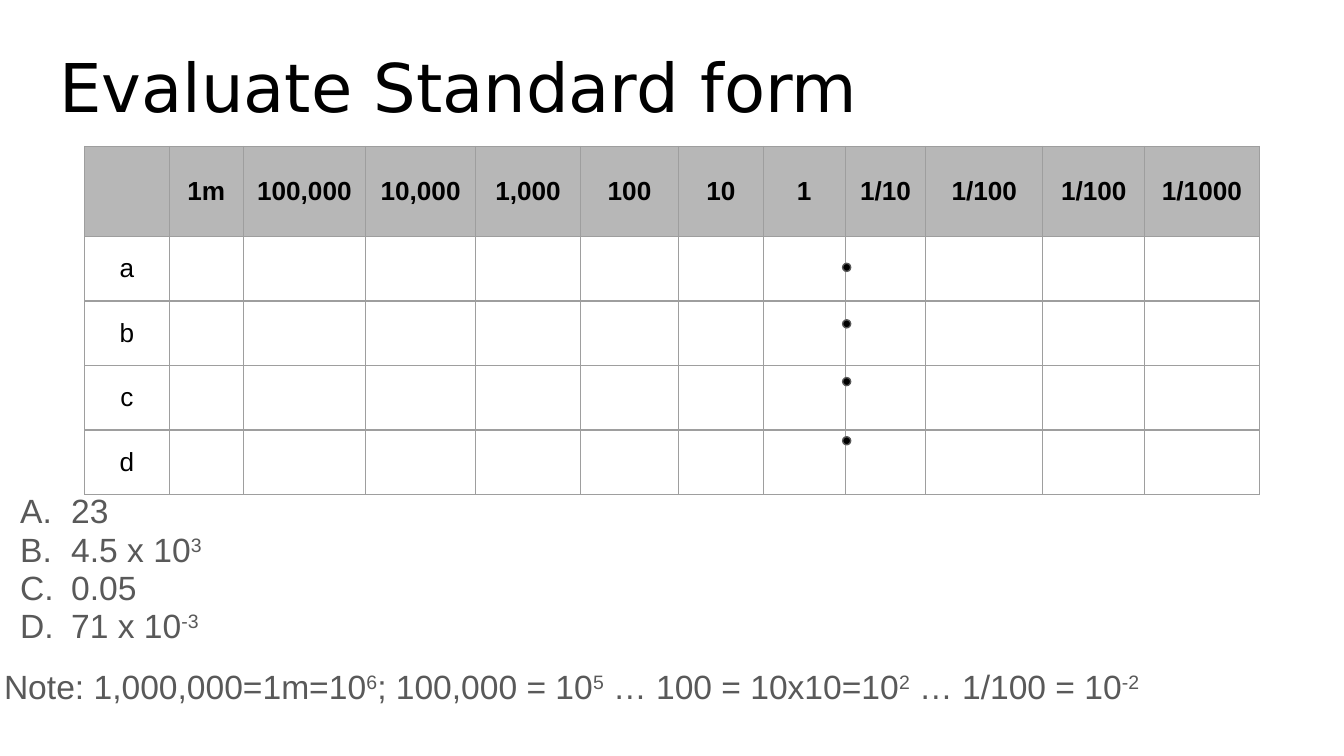
from lxml import etree
from pptx import Presentation
from pptx import util as u
from pptx.dml.color import RGBColor
from pptx.enum import shapes, text
from pptx.oxml.ns import qn


def color(value):
    return RGBColor.from_string(value)


def add_element(parent, tag, **attributes):
    return etree.SubElement(parent, qn(tag), attributes)


class SlideBuilder:
    unit = 0.1
    font = "Arial"
    title_font = "DejaVu Sans"
    black = "000000"
    gray = "595959"
    header_fill = "B7B7B7"
    border = "9E9E9E"

    def __init__(self, presentation):
        self.slide = presentation.slides.add_slide(presentation.slide_layouts[1])

    def grid(self, *cells):
        return [u.Inches(round(cell * self.unit, 2)) for cell in cells]

    def add_run(self, paragraph, content, size, fill, font=None, bold=False, raised=False):
        run = paragraph.add_run()
        run.text = content
        run.font.size = u.Pt(size)
        run.font.name = font or self.font
        run.font.bold = bold
        run.font.color.rgb = color(fill)
        if raised:
            run.font._element.set("baseline", "30000")

    def place(self, shape, box):
        shape.left, shape.top, shape.width, shape.height = self.grid(*box)
        frame = shape.text_frame
        frame.word_wrap = True
        frame.auto_size = text.MSO_AUTO_SIZE.NONE
        frame.vertical_anchor = text.MSO_ANCHOR.TOP
        frame.margin_left = frame.margin_right = u.Inches(0.1)
        frame.margin_top = frame.margin_bottom = u.Inches(0.1)
        return frame

    def title(self, content, box):
        paragraph = self.place(self.slide.shapes.title, box).paragraphs[0]
        paragraph.alignment = text.PP_ALIGN.LEFT
        self.add_run(paragraph, content, 36, self.black, self.title_font)

    def body(self, answers, note, box):
        frame = self.place(self.slide.placeholders[1], box)
        for index, pieces in enumerate([*answers, note]):
            paragraph = frame.paragraphs[0] if index == 0 else frame.add_paragraph()
            is_note = pieces is note
            paragraph.alignment = text.PP_ALIGN.LEFT
            paragraph.line_spacing = 0.95
            paragraph.space_before = paragraph.space_after = u.Pt(12 if is_note else 0)
            properties = paragraph._p.get_or_add_pPr()
            properties.set("marL", str(u.Inches(0 if is_note else 0.5)))
            properties.set("indent", str(u.Inches(0 if is_note else -0.38)))
            if is_note:
                add_element(properties, "a:buNone")
            else:
                bullet_color = add_element(properties, "a:buClr")
                add_element(bullet_color, "a:srgbClr", val=self.gray)
                add_element(properties, "a:buFont", typeface=self.font)
                add_element(properties, "a:buAutoNum", type="alphaUcPeriod")
            for position, piece in enumerate(pieces):
                self.add_run(paragraph, piece, 18, self.gray, raised=position % 2 == 1)

    def cell(self, cell, content, header):
        cell.margin_left = cell.margin_right = u.Inches(0.1)
        cell.margin_top = cell.margin_bottom = u.Inches(0.1)
        cell.vertical_anchor = text.MSO_ANCHOR.MIDDLE
        paragraph = cell.text_frame.paragraphs[0]
        paragraph.alignment = text.PP_ALIGN.CENTER
        if content:
            self.add_run(paragraph, content, 14, self.black, bold=header)
        else:
            add_element(paragraph._p, "a:endParaRPr", sz="1400")
        properties = cell._tc.get_or_add_tcPr()
        for side in ("L", "R", "T", "B"):
            line = add_element(properties, f"a:ln{side}", w=str(u.Pt(0.75)))
            add_element(add_element(line, "a:solidFill"), "a:srgbClr", val=self.border)
        if header:
            cell.fill.solid()
            cell.fill.fore_color.rgb = color(self.header_fill)
        else:
            cell.fill.background()

    def table(self, rows, left, top, widths, heights):
        box = self.grid(left, top, sum(widths), sum(heights))
        table = self.slide.shapes.add_table(len(heights), len(widths), *box).table
        table.first_row = table.horz_banding = False
        for column, width in zip(table.columns, self.grid(*widths)):
            column.width = width
        for row, height in zip(table.rows, self.grid(*heights)):
            row.height = height
        for row_index, row in enumerate(rows):
            for column_index, content in enumerate(row):
                self.cell(table.cell(row_index, column_index), content, row_index == 0)

    def dot(self, left, top, size):
        box = self.grid(left, top, size, size)
        shape = self.slide.shapes.add_shape(shapes.MSO_SHAPE.OVAL, *box)
        shape.shadow.inherit = False
        shape.fill.solid()
        shape.fill.fore_color.rgb = color(self.black)
        shape.line.color.rgb = color(self.gray)
        shape.line.width = u.Pt(0.75)


def main():
    presentation = Presentation()
    presentation.slide_width = u.Inches(10)
    presentation.slide_height = presentation.slide_width * 9 // 16
    builder = SlideBuilder(presentation)

    builder.title("Evaluate Standard form", (3.4, 2.4, 93.2, 6.3))
    answers = [["23"], ["4.5 x 10", "3"], ["0.05"], ["71 x 10", "-3"]]
    note = ["Note: 1,000,000=1m=10", "6", "; 100,000 = 10", "5",
            " … 100 = 10x10=10", "2", " … 1/100 = 10", "-2"]
    builder.body(answers, note, (-0.7, 35.7, 93.2, 18.1))

    place_values = ["", "1m", "100,000", "10,000", "1,000", "100", "10", "1",
                    "1/10", "1/100", "1/100", "1/1000"]
    blanks = [""] * (len(place_values) - 1)
    rows = [place_values] + [[letter, *blanks] for letter in "abcd"]
    widths = [6.3, 5.5, 9.1, 8.2, 7.8, 7.3, 6.3, 6.1, 6, 8.7, 7.6, 8.5]
    builder.table(rows, 6.3, 10.9, widths, [6.7] + [4.8] * 4)

    for top in (19.6, 23.8, 28.1, 32.5):
        builder.dot(62.7, top, 0.6)

    presentation.save("out.pptx")


if __name__ == "__main__":
    main()
